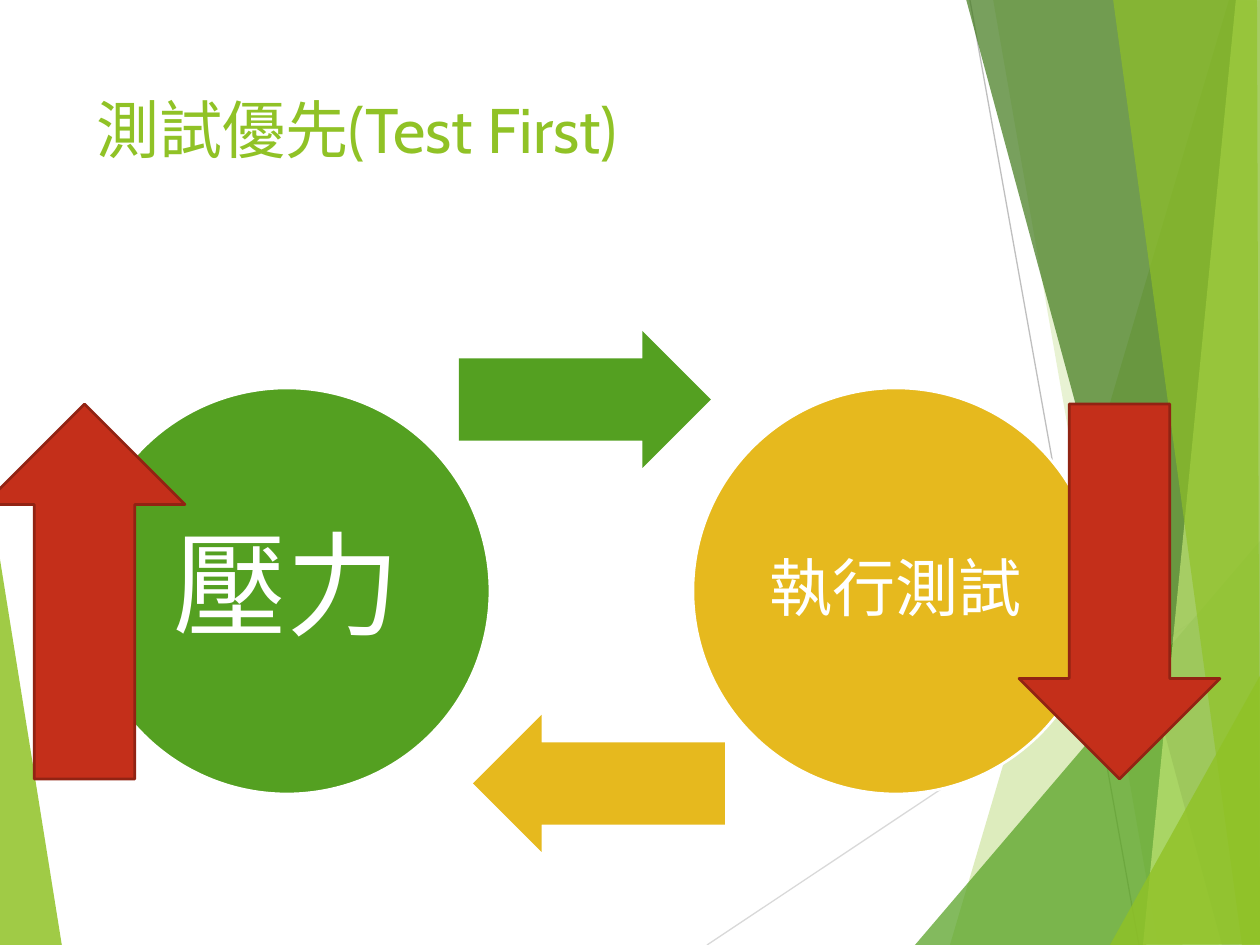
from lxml.etree import SubElement
from pptx import Presentation
from pptx.dml.color import RGBColor
from pptx.enum.shapes import MSO_CONNECTOR, MSO_SHAPE
from pptx.enum.text import MSO_ANCHOR, PP_ALIGN
from pptx.oxml.ns import qn
from pptx.util import Emu, Pt

EMU_PER_PX = 914400 / 126
COLORS = {
    "lime": "90C226", "green": "54A021", "forest": "3F7819", "pale": "C0E474",
    "gold": "E6B91E", "red": "C42F1A", "maroon": "912313", "white": "FFFFFF",
    "light gray": "D9D9D9", "gray": "BFBFBF",
}
FONT = "Cabin"


def px(value):
    return Emu(round(value * EMU_PER_PX))


def rgb(name):
    return RGBColor.from_string(COLORS[name])


class SlideBuilder:
    def __init__(self, page):
        self.page = page
        self.shapes = page.shapes

    def style(self, shape, fill, outline=None):
        shape.shadow.inherit = False
        shape.fill.solid()
        shape.fill.fore_color.rgb = rgb(fill)
        if outline:
            shape.line.color.rgb = rgb(outline)
            shape.line.width = Pt(1.5)
        else:
            shape.line.fill.background()

    def set_text(self, shape, text, size, color, align):
        shape.text_frame.text = text
        para = shape.text_frame.paragraphs[0]
        para.alignment = align
        para.font.name = FONT
        para.font.size = Pt(size)
        para.font.color.rgb = rgb(color)
        return para

    def title(self, text, left, top, width, height):
        box = self.shapes.title
        box.left, box.top, box.width, box.height = map(px, (left, top, width, height))
        box.text_frame.vertical_anchor = MSO_ANCHOR.TOP
        self.set_text(box, text, 36, "lime", PP_ALIGN.LEFT)

    def facet(self, points, fill, opacity):
        builder = self.shapes.build_freeform(*points[0], scale=EMU_PER_PX)
        builder.add_line_segments(points[1:], close=True)
        shape = builder.convert_to_shape()
        self.style(shape, fill)
        color = shape._element.spPr.find(qn("a:solidFill"))[0]
        SubElement(color, qn("a:alpha"), val=str(opacity * 1000))

    def line(self, start, end, color):
        line = self.shapes.add_connector(
            MSO_CONNECTOR.STRAIGHT, *map(px, (*start, *end)))
        line.line.color.rgb = rgb(color)
        line.line.width = Pt(0.75)
        SubElement(line._element.spPr, qn("a:effectLst"))

    def circle(self, left, top, diameter, fill, text, size, inset):
        shape = self.shapes.add_shape(
            MSO_SHAPE.OVAL, *map(px, (left, top, diameter, diameter)))
        self.style(shape, fill, "white")
        para = self.set_text(shape, text, size, "white", PP_ALIGN.CENTER)
        para.line_spacing = 0.9
        frame = shape.text_frame
        frame.word_wrap = True
        frame.vertical_anchor = MSO_ANCHOR.MIDDLE
        frame.margin_left = frame.margin_right = px(inset)
        frame.margin_top = frame.margin_bottom = px(inset)

    def arrow(self, kind, left, top, width, height, fill, outline=None,
              rotation=0, shaft=0.5):
        shape = self.shapes.add_shape(kind, *map(px, (left, top, width, height)))
        shape.adjustments[0] = shaft
        shape.rotation = rotation
        self.style(shape, fill, outline)


def main():
    deck = Presentation()
    deck.slide_width, deck.slide_height = px(1260), px(945)
    page = deck.slides.add_slide(deck.slide_layouts[5])
    slide = SlideBuilder(page)

    # Background: left wedge, thin lines, right-hand facets
    slide.facet([(-1, 553), (62, 946), (-1, 945)], "lime", 85)
    slide.line((707, 945), (1261, 576), "light gray")
    slide.line((970, 0), (1139, 945), "gray")
    facets = [
        ([(1229, 0), (950, 945), (1263, 946), (1261, 1)], "lime", 30),
        ([(993, -1), (1158, 945), (1261, 945), (1261, -1)], "lime", 20),
        ([(915, 945), (1260, 541), (1261, 945)], "green", 72),
        ([(966, -1), (1222, 945), (1261, 944), (1261, -1)], "forest", 70),
        ([(1236, -1), (1143, 945), (1261, 945), (1260, -1)], "pale", 70),
        ([(1113, -1), (1242, 945), (1260, 945), (1257, -1)], "lime", 65),
        ([(1110, 945), (1261, 674), (1261, 944)], "lime", 80),
    ]
    for points, fill, opacity in facets:
        slide.facet(points, fill, opacity)

    slide.title("測試優先(Test First)", 84, 84, 875, 182)

    # Cycle between pressure and running tests
    slide.circle(84, 388, 406, "green", "壓力", 65, 11)
    slide.arrow(MSO_SHAPE.RIGHT_ARROW, 459, 331, 252, 137, "green", shaft=0.6)
    slide.circle(693, 388, 406, "gold", "執行測試", 36, 6)
    slide.arrow(MSO_SHAPE.RIGHT_ARROW, 473, 715, 252, 137, "gold",
                rotation=180, shaft=0.6)

    # Tests go down, pressure goes up
    for left, rotation in ((1019, 0), (-16, 180)):
        slide.arrow(MSO_SHAPE.DOWN_ARROW, left, 404, 201, 375, "red", "maroon", rotation)

    deck.save("out.pptx")


if __name__ == "__main__":
    main()
